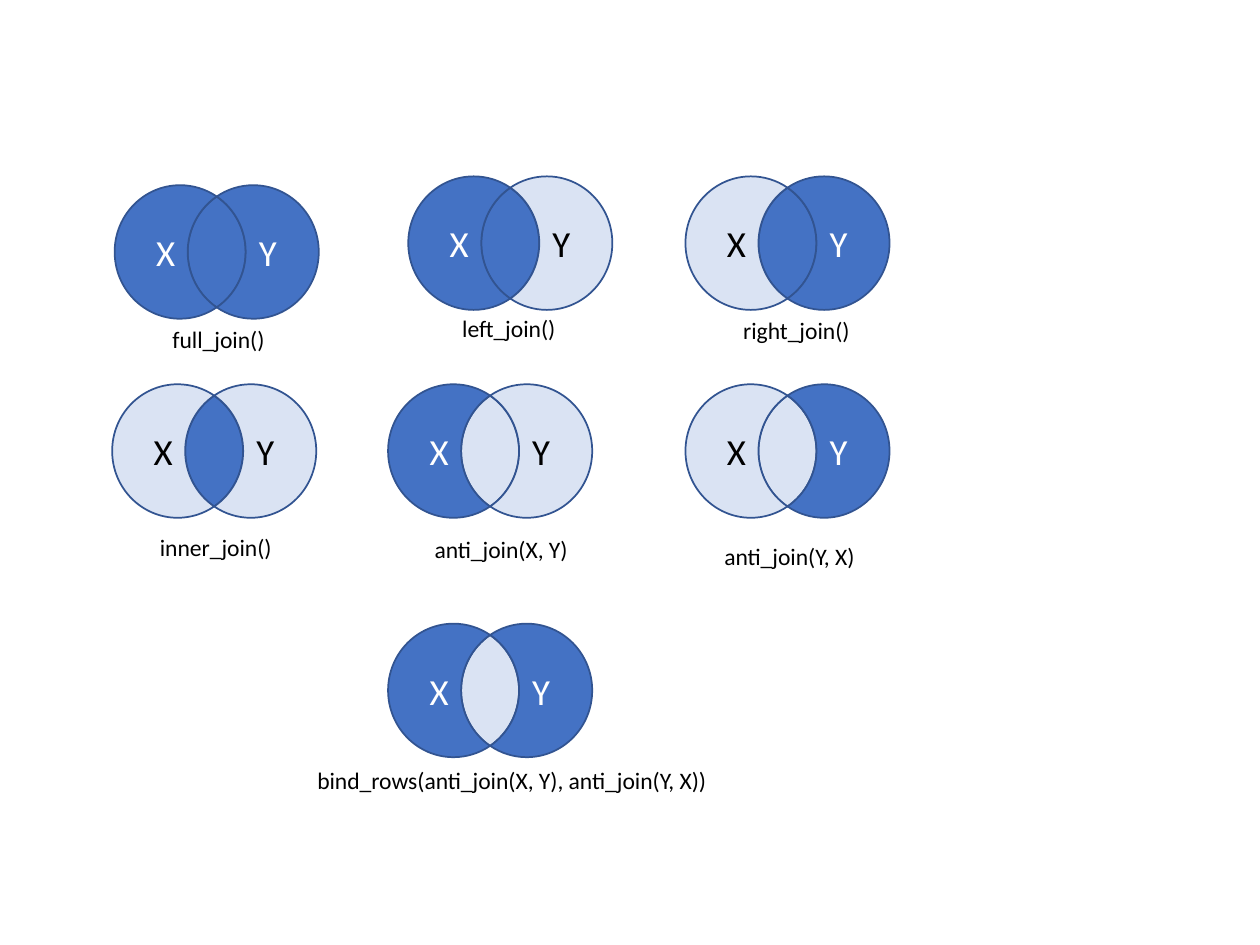
import math
import lxml.etree
import pptx
import pptx.util
import pptx.dml.color
import pptx.enum.text
import pptx.oxml.ns
from pptx.util import Inches

# Content: centre x, centre y, shaded regions, label, label (left, top, width)
JOINS = [
    (4.05, 1.93, {"X", "both"}, "left_join()", (3.57, 2.44, 0.96)),
    (3.89, 3.58, {"X"}, "anti_join(X, Y)", (3.35, 4.20, 1.28)),
    (6.25, 3.58, {"Y"}, "anti_join(Y, X)", (5.65, 4.25, 1.26)),
    (3.89, 5.48, {"X", "Y"}, "bind_rows(anti_join(X, Y), anti_join(Y, X))", (2.42, 6.03, 3.34)),
    (1.72, 2.00, {"X", "both", "Y"}, "full_join()", (1.27, 2.53, 0.95)),
    (1.70, 3.58, {"both"}, "inner_join()", (1.17, 4.18, 1.11)),
    (6.25, 1.93, {"both", "Y"}, "right_join()", (5.80, 2.46, 1.06)),
]

THEME = {
    "font": "Calibri", "set_size": 21, "label_size": 13.5, "line_width": 1,
    "on": "4472C4", "off": "DAE3F3", "line": "325491",
    "on_text": "FFFFFF", "text": "000000",
}

# Two ellipses of radii RX, RY, their centres SHIFT either side of the middle
RX, RY, SHIFT = 0.52, 0.53, 0.29
LABEL_HEIGHT = 0.33
A = math.acos(SHIFT / RX)  # angle at which the ellipses cross
PI = math.pi

# Each region is two arcs: (side of the ellipse, start angle, end angle)
REGIONS = {
    "both": [(-1, -A, A), (1, PI - A, PI + A)],
    "X": [(-1, A, 2 * PI - A), (1, PI + A, PI - A)],
    "Y": [(1, A - PI, PI - A), (-1, A, -A)],
}


def rgb(value):
    return pptx.dml.color.RGBColor.from_string(value)


def write(s, text, *, size, color, align=None):
    p = s.text_frame.paragraphs[0]
    p.alignment = align
    r = p.add_run()
    r.text = text
    r.font.name = THEME["font"]
    r.font.size = pptx.util.Pt(size)
    r.font.color.rgb = rgb(color)


def arc_points(cx, cy, start, end):
    """Bezier points of an elliptic arc, split where it crosses an axis."""
    low, high = sorted((start, end))
    axes = [k * PI / 2 for k in range(-4, 5) if low < k * PI / 2 < high]
    angles = sorted([low, *axes, high], reverse=start > end)
    points = []
    for a, b in zip(angles, angles[1:]):
        pull = 4 / 3 * math.tan((b - a) / 4)
        for t, k in ((a, 0), (a, pull), (b, -pull), (b, 0)):
            x = cx + RX * (math.cos(t) - k * math.sin(t))
            y = cy + RY * (math.sin(t) + k * math.cos(t))
            points.append((Inches(x), Inches(y)))
    # Neighbouring curves share a point, so keep only the first start
    return points[:1] + [pt for i, pt in enumerate(points) if i % 4]


def curve_lines(sp):
    """Turn every three line segments into one cubic curve."""
    qn = pptx.oxml.ns.qn
    lines = list(sp._element.iter(qn("a:lnTo")))
    for i in range(0, len(lines), 3):
        curve = lxml.etree.Element(qn("a:cubicBezTo"))
        lines[i].addprevious(curve)
        for line in lines[i:i + 3]:
            curve.append(line[0])
            line.getparent().remove(line)


def add_region(slide, cx, cy, name, shaded):
    first, second = [arc_points(cx + side * SHIFT, cy, start, end)
                     for side, start, end in REGIONS[name]]
    builder = slide.shapes.build_freeform(*first[0])
    builder.add_line_segments(first[1:] + second[1:], close=True)
    sp = builder.convert_to_shape()
    curve_lines(sp)
    sp.shadow.inherit = False
    sp.fill.solid()
    sp.fill.fore_color.rgb = rgb(THEME["on" if shaded else "off"])
    sp.line.color.rgb = rgb(THEME["line"])
    sp.line.width = pptx.util.Pt(THEME["line_width"])
    if name != "both":
        tf = sp.text_frame
        tf.margin_left = tf.margin_right = Inches(0.07)
        tf.margin_top = tf.margin_bottom = Inches(0.04)
        tf.vertical_anchor = pptx.enum.text.MSO_ANCHOR.MIDDLE
        write(sp, name, size=THEME["set_size"],
              color=THEME["on_text" if shaded else "text"],
              align=pptx.enum.text.PP_ALIGN.CENTER)


def add_label(slide, text, left, top, width):
    box = slide.shapes.add_textbox(Inches(left), Inches(top), Inches(width), Inches(LABEL_HEIGHT))
    box.text_frame.word_wrap = False
    box.text_frame.auto_size = pptx.enum.text.MSO_AUTO_SIZE.SHAPE_TO_FIT_TEXT
    write(box, text, size=THEME["label_size"], color=THEME["text"])


def main():
    prs = pptx.Presentation()
    prs.slide_width, prs.slide_height = Inches(10), Inches(7.5)
    slide = prs.slides.add_slide(prs.slide_layouts[6])

    # Venn diagrams with their labels
    for cx, cy, shaded, label, place in JOINS:
        for name in REGIONS:
            add_region(slide, cx, cy, name, name in shaded)
        add_label(slide, label, *place)

    prs.save("out.pptx")


if __name__ == "__main__":
    main()
